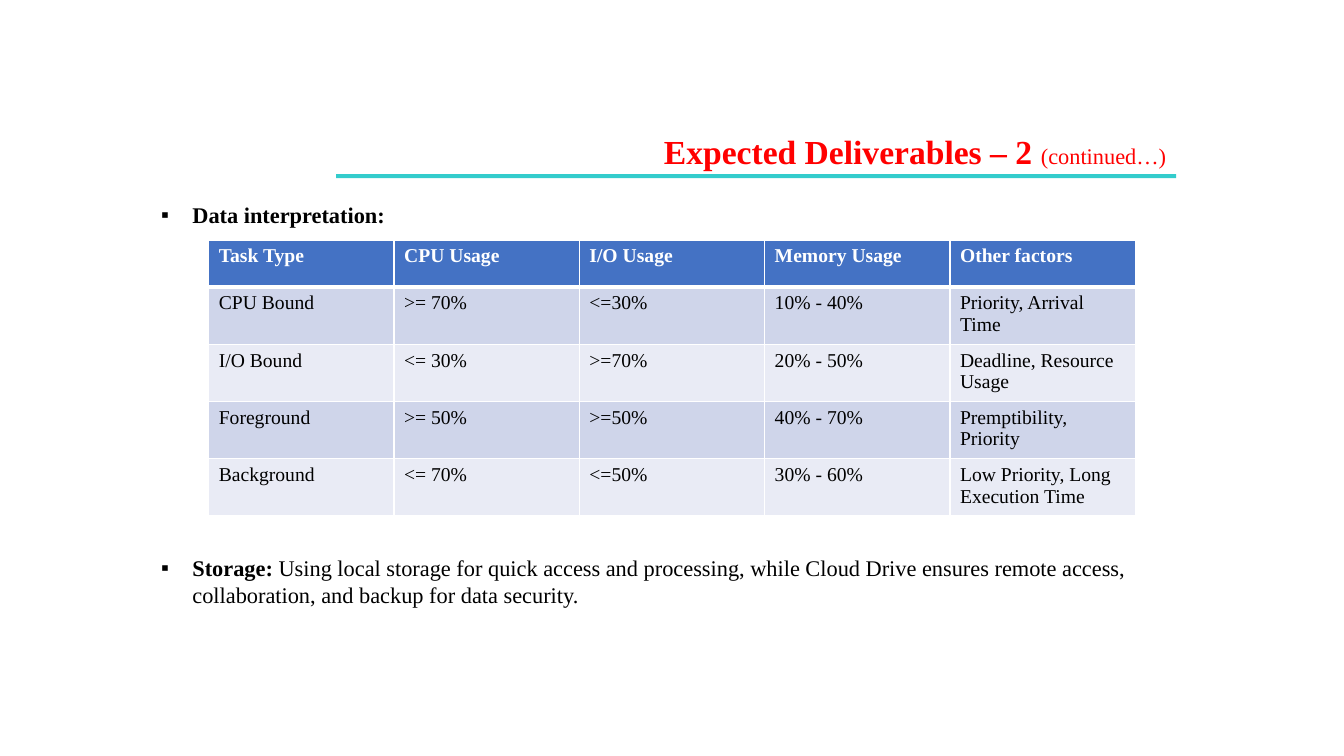
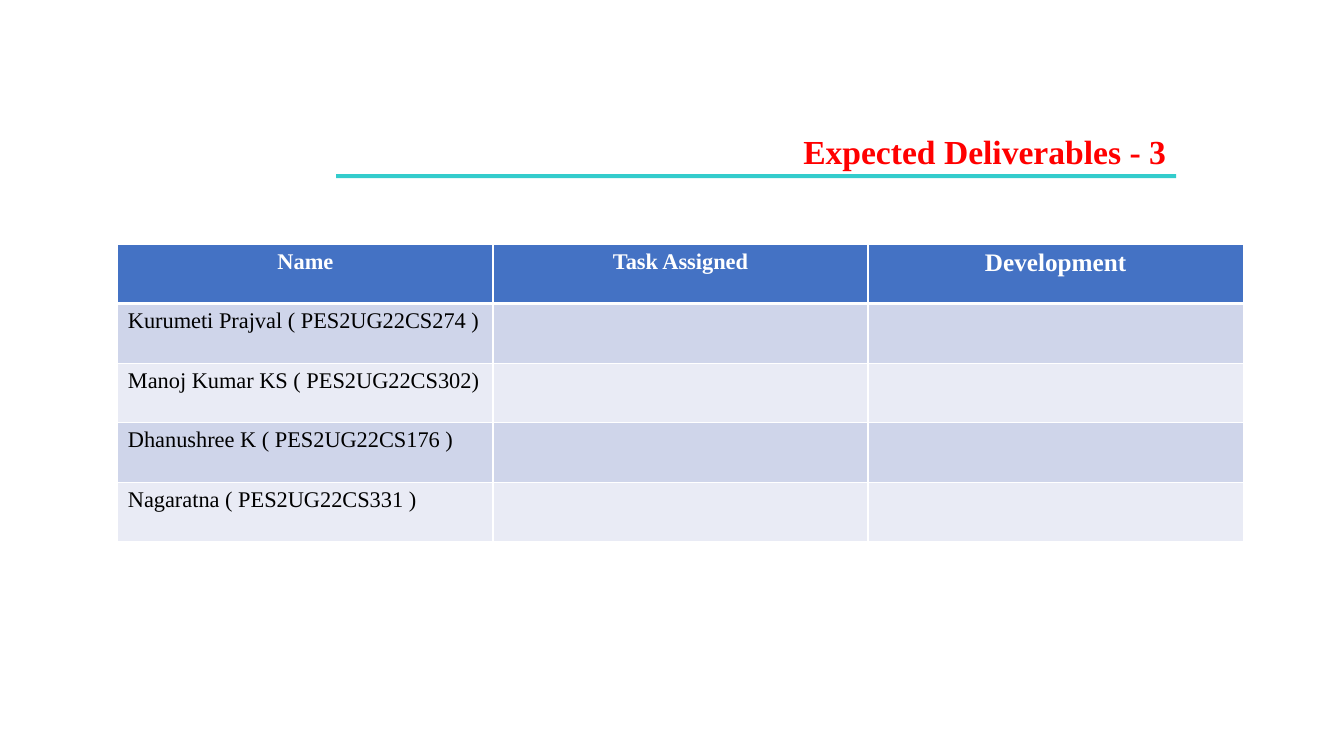
from pptx import Presentation
from pptx.dml.color import RGBColor
from pptx.enum.shapes import MSO_SHAPE
from pptx.enum.text import PP_ALIGN
from pptx.oxml.ns import qn
from pptx.util import Cm, Pt
from lxml import etree

RECTANGLE = MSO_SHAPE.RECTANGLE
LEFT, CENTER, RIGHT = PP_ALIGN.LEFT, PP_ALIGN.CENTER, PP_ALIGN.RIGHT

FONT = "Times New Roman"
WHITE = RGBColor(0xFF, 0xFF, 0xFF)
BLACK = RGBColor(0x00, 0x00, 0x00)
RED = RGBColor(0xFF, 0x00, 0x00)
TEAL = RGBColor(0x33, 0xCC, 0xCC)
HEADER_BLUE = RGBColor(0x44, 0x72, 0xC4)
BANDS = (RGBColor(0xCF, 0xD5, 0xEA), RGBColor(0xE9, 0xEB, 0xF5))

THIN, THICK = Pt(1), Pt(3)

TASK_ROWS = [
    ("Task Type", "CPU Usage", "I/O Usage", "Memory Usage", "Other factors"),
    ("CPU Bound", ">= 70%", "<=30%", "10% - 40%", "Priority, Arrival Time"),
    ("I/O Bound", "<= 30%", ">=70%", "20% - 50%", "Deadline, Resource Usage"),
    ("Foreground", ">= 50%", ">=50%", "40% - 70%", "Premptibility, Priority"),
    ("Background", "<= 70%", "<=50%", "30% - 60%",
     "Low Priority, Long Execution Time"),
]
TEAM_ROWS = [
    ("Name", "Task Assigned", "Development"),
    ("Kurumeti Prajval ( PES2UG22CS274 )", "", ""),
    ("Manoj Kumar KS ( PES2UG22CS302)", "", ""),
    ("Dhanushree K ( PES2UG22CS176 )", "", ""),
    ("Nagaratna ( PES2UG22CS331 )", "", ""),
]


def add_run(paragraph, text, size, color=BLACK, bold=False):
    run = paragraph.add_run()
    run.text = text
    run.font.name = FONT
    run.font.size = Pt(size)
    run.font.bold = bold
    run.font.color.rgb = color


def add_text_box(slide, left, top, width, height):
    """Add a wrapping text box and return its first paragraph."""
    frame = slide.shapes.add_textbox(left, top, width, height).text_frame
    frame.word_wrap = True
    return frame.paragraphs[0]


def add_title(slide, title, suffix=""):
    # Teal rule under the title
    rule = slide.shapes.add_shape(RECTANGLE, Cm(8.47), Cm(4.39), Cm(21.17), Cm(0.1))
    rule.shadow.inherit = False
    rule.fill.solid()
    rule.fill.fore_color.rgb = TEAL
    rule.line.fill.background()

    # Right-aligned title
    heading = add_text_box(slide, Cm(8.05), Cm(3.18), Cm(21.59), Cm(1.27))
    heading.alignment = RIGHT
    add_run(heading, title, 24, RED, bold=True)
    if suffix:
        add_run(heading, suffix, 16, RED)


def add_bullet(slide, top, height, label, detail=""):
    bullet = add_text_box(slide, Cm(3.81), top, Cm(25.83), height)
    properties = bullet._p.get_or_add_pPr()
    properties.set("marL", str(Cm(0.79)))
    properties.set("indent", str(-Cm(0.79)))
    etree.SubElement(properties, qn("a:buFont")).set("typeface", FONT)
    etree.SubElement(properties, qn("a:buChar")).set("char", "▪")
    add_run(bullet, label, 16, bold=True)
    if detail:
        add_run(bullet, detail, 16)


def set_borders(cell, top, bottom):
    properties = cell._tc.get_or_add_tcPr()
    for side, width in (("L", THIN), ("R", THIN), ("T", top), ("B", bottom)):
        line = etree.SubElement(properties, qn(f"a:ln{side}"), w=str(width))
        fill = etree.SubElement(line, qn("a:solidFill"))
        etree.SubElement(fill, qn("a:srgbClr"), val=str(WHITE))


def add_banded_table(slide, rows, left, top, width, header_height, row_height,
                     sizes, header_sizes, header_alignment=LEFT):
    """Add a table with a blue header; sizes are given per column."""
    height = header_height + row_height * (len(rows) - 1)
    table = slide.shapes.add_table(
        len(rows), len(rows[0]), left, top, width, height).table
    for r, texts in enumerate(rows):
        is_header = r == 0
        table.rows[r].height = header_height if is_header else row_height
        for c, text in enumerate(texts):
            cell = table.cell(r, c)
            set_borders(cell, THICK if r == 1 else THIN,
                        THICK if is_header else THIN)
            cell.fill.solid()
            cell.fill.fore_color.rgb = HEADER_BLUE if is_header else BANDS[(r - 1) % 2]
            if not text:
                continue
            paragraph = cell.text_frame.paragraphs[0]
            paragraph.alignment = header_alignment if is_header else LEFT
            add_run(paragraph, text, (header_sizes if is_header else sizes)[c],
                    WHITE if is_header else BLACK, bold=is_header)


def build_data_slide(slide):
    add_title(slide, "Expected Deliverables – 2 ", "(continued…)")
    add_bullet(slide, Cm(4.95), Cm(0.94), "Data interpretation:")
    add_banded_table(slide, TASK_ROWS, Cm(5.26), Cm(6.05), Cm(23.35),
                     Cm(1.19), Cm(1.44), [14] * 5, [14] * 5)
    add_bullet(slide, Cm(13.84), Cm(1.6), "Storage: ",
               "Using local storage for quick access and processing, while "
               "Cloud Drive ensures remote access, collaboration, and backup "
               "for data security.")


def build_team_slide(slide):
    add_title(slide, "Expected Deliverables - 3")
    add_banded_table(slide, TEAM_ROWS, Cm(2.97), Cm(6.15), Cm(28.36),
                     Cm(1.5), Cm(1.5), [16] * 3, [16, 16, 18], CENTER)


def main():
    deck = Presentation()
    deck.slide_width, deck.slide_height = Cm(33.87), Cm(19.05)
    blank = deck.slide_layouts[6]
    for build in (build_data_slide, build_team_slide):
        build(deck.slides.add_slide(blank))
    deck.save("out.pptx")


if __name__ == "__main__":
    main()
